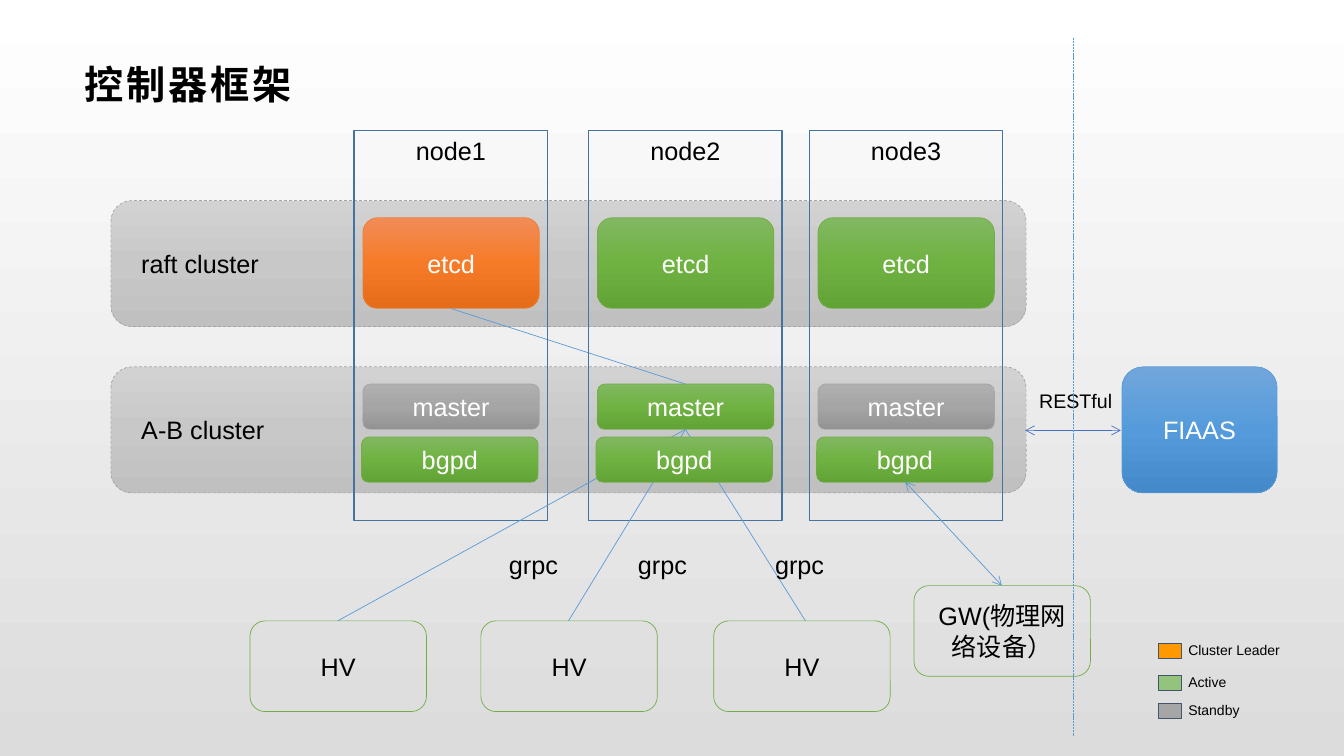
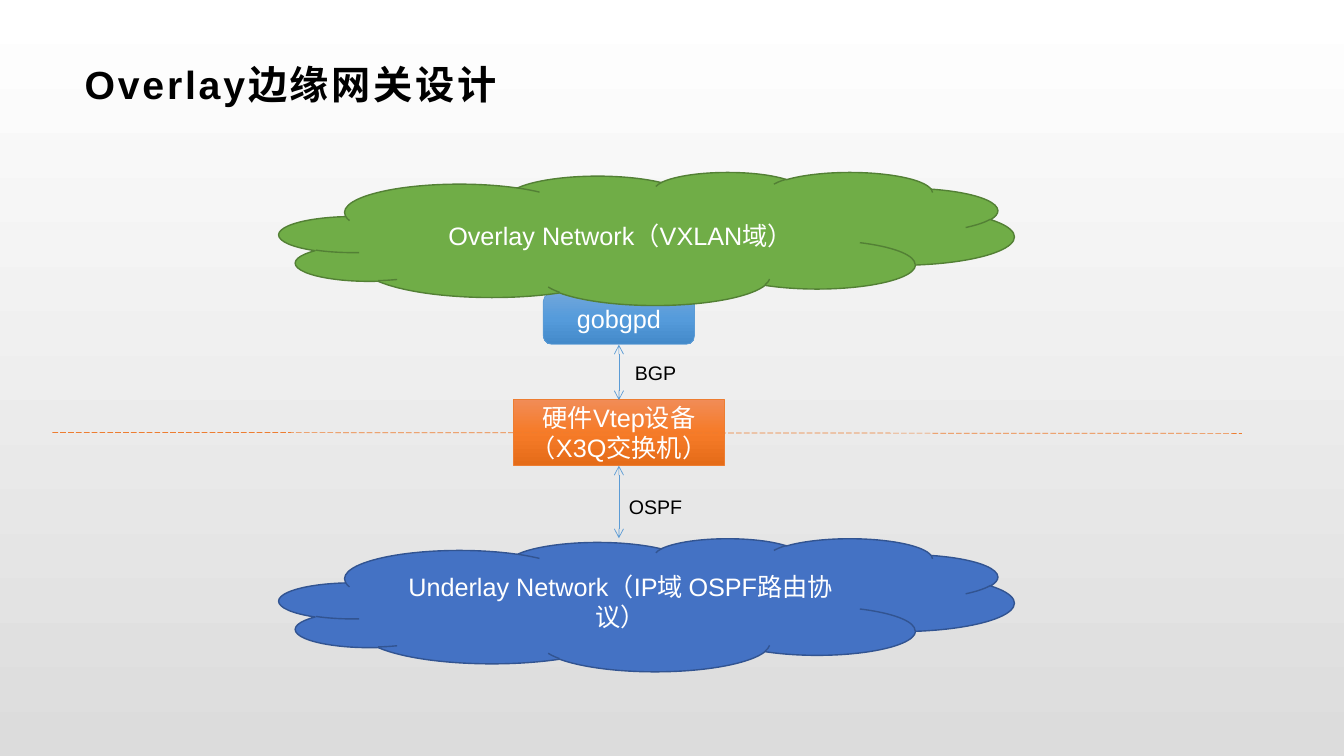
from dataclasses import dataclass
from typing import Optional

from lxml.etree import SubElement
from pptx import Presentation
from pptx.dml.color import RGBColor
from pptx.enum.dml import MSO_LINE
from pptx.enum.shapes import MSO_CONNECTOR, MSO_SHAPE
from pptx.enum.text import MSO_ANCHOR, PP_ALIGN
from pptx.oxml.ns import qn
from pptx.util import Inches, Pt

WIDTH, HEIGHT = Inches(13.333), Inches(7.5)
FONT = "Arial"
COLOURS = {
    "black": "000000", "white": "FFFFFF", "mist": "DCDCDC",
    "orange": "ED7D31", "green": "70AD47", "grey": "A5A5A5",
    "blue": "5B9BD5", "royal": "4472C4", "frame": "43739E",
    "moss": "538035", "navy": "325491", "slate": "44546A",
    "leader": "FF9900", "active": "93C47D", "standby": "A6A6A6",
}
SHADES = {
    "orange": ("F18C57", "F67B28", "E56C19"),
    "green": ("81B861", "6FB242", "62A336"),
    "grey": ("AFAFAF", "A5A5A5", "939393"),
    "blue": ("71A6DB", "559BDB", "448ACA"),
    "band": ("D2D2D2", "C8C8C8", "C0C0C0"),
    "page": (COLOURS["white"], COLOURS["mist"]),
}


@dataclass(frozen=True)
class Area:
    left: float
    top: float
    width: float
    height: float

    def lengths(self) -> tuple:
        return (across(self.left), down(self.top),
                across(self.width), down(self.height))


@dataclass(frozen=True)
class Look:
    line: str
    shade: Optional[str] = None
    solid: Optional[str] = None
    text: str = "white"
    kind: MSO_SHAPE = MSO_SHAPE.ROUNDED_RECTANGLE
    weight: float = 0.5
    dash: Optional[MSO_LINE] = None
    anchor: MSO_ANCHOR = MSO_ANCHOR.MIDDLE
    align: PP_ALIGN = PP_ALIGN.CENTER
    inset: float = 0.1


@dataclass(frozen=True)
class Node:
    name: str
    left: float
    etcd: str
    master: str


@dataclass(frozen=True)
class Host:
    left: float
    link: float


@dataclass(frozen=True)
class Key:
    name: str
    colour: str
    top: float


BAND = Look("grey", "band", text="black", dash=MSO_LINE.DASH,
            align=PP_ALIGN.LEFT, inset=0.24)
OUTLINE = Look("green", text="black")
FRAME = Look("frame", text="black", kind=MSO_SHAPE.RECTANGLE, weight=1,
             anchor=MSO_ANCHOR.TOP)
CARDS = {name: Look(name, name) for name in ("orange", "green", "grey", "blue")}
SWITCH = Look("orange", "orange", kind=MSO_SHAPE.RECTANGLE)
OVERLAY = Look("moss", solid="green", kind=MSO_SHAPE.CLOUD, weight=1)
UNDERLAY = Look("navy", solid="royal", kind=MSO_SHAPE.CLOUD, weight=1)

NODES = (Node("node1", 27, "orange", "grey"),
         Node("node2", 44.45, "green", "green"),
         Node("node3", 60.86, "green", "grey"))
HOSTS = (Host(18.6, 25.13), Host(35.78, 42.3), Host(53.1, 59.93))
KEYS = (Key("Cluster Leader", "leader", 85.07),
        Key("Active", "active", 89.33),
        Key("Standby", "standby", 93.07))
CARD_WIDTH, CARD_HEIGHT = 13.13, 12
BAND_HEIGHT = 16.67
RAFT_TOP, STANDBY_TOP = 26.53, 48.53
MASTER = (51, 56.8)


def across(share: float) -> int:
    return round(WIDTH * share / 100)


def down(share: float) -> int:
    return round(HEIGHT * share / 100)


def colour(name: str) -> RGBColor:
    return RGBColor.from_string(COLOURS[name])


def apply_shade(fill, owner, name: str) -> None:
    fill.gradient()
    fill.gradient_angle = 270
    stops = owner.find(".//" + qn("a:gsLst"))
    for stop in list(stops):
        stops.remove(stop)
    shades = SHADES[name]
    for index, value in enumerate(shades):
        position = 100000 * index // (len(shades) - 1)
        stop = SubElement(stops, qn("a:gs"), pos=str(position))
        SubElement(stop, qn("a:srgbClr"), val=value)


def write(box, text: str, size: float, name: str,
          align: PP_ALIGN = PP_ALIGN.LEFT):
    para = box.text_frame.paragraphs[0]
    para.text = text
    para.alignment = align
    para.font.name = FONT
    para.font.size = Pt(size)
    para.font.color.rgb = colour(name)
    return para


def add_box(page, area: Area, look: Look, text: str = "") -> None:
    box = page.shapes.add_shape(look.kind, *area.lengths())
    box.shadow.inherit = False
    if look.shade:
        apply_shade(box.fill, box._element.spPr, look.shade)
    elif look.solid:
        box.fill.solid()
        box.fill.fore_color.rgb = colour(look.solid)
    else:
        box.fill.background()
    box.line.color.rgb = colour(look.line)
    box.line.width = Pt(look.weight)
    if look.dash:
        box.line.dash_style = look.dash
    if text:
        frame = box.text_frame
        frame.word_wrap = True
        frame.vertical_anchor = look.anchor
        frame.margin_left = Inches(look.inset)
        write(box, text, 18, look.text, look.align)


def add_label(page, area: Area, text: str, size: float,
              inset: float = 0.05) -> None:
    box = page.shapes.add_textbox(*area.lengths())
    frame = box.text_frame
    frame.word_wrap = False
    frame.margin_top = Inches(inset)
    frame.margin_right = 0
    write(box, text, size, "black")


def add_line(page, start: tuple, end: tuple, name: str = "blue",
             arrows: bool = False, dash: Optional[MSO_LINE] = None) -> None:
    line = page.shapes.add_connector(
        MSO_CONNECTOR.STRAIGHT, across(start[0]), down(start[1]),
        across(end[0]), down(end[1]))
    line.line.color.rgb = colour(name)
    line.line.width = Pt(0.5)
    if dash:
        line.line.dash_style = dash
    properties = line._element.spPr
    if arrows:
        for tag in ("a:headEnd", "a:tailEnd"):
            SubElement(properties.find(qn("a:ln")), qn(tag), type="arrow")
    SubElement(properties, qn("a:effectLst"))


def add_page(deck, title: str):
    page = deck.slides.add_slide(deck.slide_layouts[6])
    apply_shade(page.background.fill, page._element, "page")
    box = page.shapes.add_textbox(*Area(5.48, 6.35, 89.03, 9.47).lengths())
    frame = box.text_frame
    frame.word_wrap = True
    frame.vertical_anchor = MSO_ANCHOR.MIDDLE
    frame.margin_left, frame.margin_right = Inches(0.11), Inches(0.08)
    frame.margin_top = frame.margin_bottom = Inches(0.04)
    para = write(box, title, 28, "black")
    para.font.bold = True
    para.font._element.set("spc", "200")
    return page


def card(left: float, top: float, height: float = CARD_HEIGHT) -> Area:
    return Area(left, top, CARD_WIDTH, height)


def draw_controller(deck) -> None:
    page = add_page(deck, "控制器框架")
    for top, name in ((RAFT_TOP, "raft cluster"), (STANDBY_TOP, "A-B cluster")):
        add_box(page, Area(8.25, top, 68.1, BAND_HEIGHT), BAND, name)
    for node in NODES:
        add_box(page, card(node.left, 28.8), CARDS[node.etcd], "etcd")
        add_box(page, card(node.left, 50.8, 6), CARDS[node.master], "master")
    for key in KEYS:
        swatch = Look("slate", solid=key.colour, kind=MSO_SHAPE.RECTANGLE,
                      weight=0.75)
        add_box(page, Area(86.2, key.top, 1.73, 2), swatch)
        add_label(page, Area(87.68, key.top - 1.6, 9.68, 3.47),
                  key.name, 10, 0.1)
    add_box(page, Area(83.48, STANDBY_TOP, 11.55, BAND_HEIGHT),
            CARDS["blue"], "FIAAS")
    add_line(page, (76.28, 56.93), (83.4, 56.93), "royal", arrows=True)
    add_label(page, Area(76.58, 50.8, 6.9, 4.53), "RESTful", 14)
    add_line(page, (33.53, 40.8), (MASTER[0], 50.8))
    for node in NODES:
        add_box(page, Area(node.left - 0.65, 17.25, 14.4, 51.6),
                FRAME, node.name)
    for host in HOSTS:
        add_box(page, card(host.left, 82.13), OUTLINE, "HV")
        add_line(page, MASTER, (host.link, 82.13))
    for left in (37.13, 46.73, 56.93):
        add_label(page, Area(left, 72, 5.18, 5.33), "grpc", 18)
    add_line(page, (79.88, 5.07), (79.88, 97.33), dash=MSO_LINE.SQUARE_DOT)
    for node in NODES:
        add_box(page, card(node.left - 0.1, 57.8, 6), CARDS["green"], "bgpd")
    add_box(page, card(68, 77.47), OUTLINE, "GW(物理网络设备）")
    add_line(page, (67.35, 63.73), (74.55, 77.47), arrows=True)


def draw_gateway(deck) -> None:
    page = add_page(deck, "Overlay边缘网关设计")
    axis = 46.05
    add_box(page, Area(20.78, 71.2, 54.68, 17.6), UNDERLAY,
            "Underlay Network（IP域 OSPF路由协议）")
    add_box(page, Area(38.22, 52.8, 15.68, 8.8), SWITCH,
            "硬件Vtep设备（X3Q交换机）")
    add_box(page, Area(40.43, 38.75, 11.25, 6.8), CARDS["blue"], "gobgpd")
    for top, bottom in ((45.6, 52.93), (61.6, 71.2)):
        add_line(page, (axis, top), (axis, bottom), arrows=True)
    add_label(page, Area(46.5, 47.07, 4.58, 4.53), "BGP", 14)
    add_label(page, Area(axis, 64.8, 5.48, 4.53), "OSPF", 14)
    add_line(page, (3.9, 57.2), (92.4, 57.33), "orange",
             dash=MSO_LINE.LONG_DASH)
    add_box(page, Area(20.78, 22.75, 54.68, 17.6), OVERLAY,
            "Overlay Network（VXLAN域）")


def main() -> None:
    deck = Presentation()
    deck.slide_width, deck.slide_height = WIDTH, HEIGHT
    draw_controller(deck)
    draw_gateway(deck)
    deck.save("out.pptx")


main()
